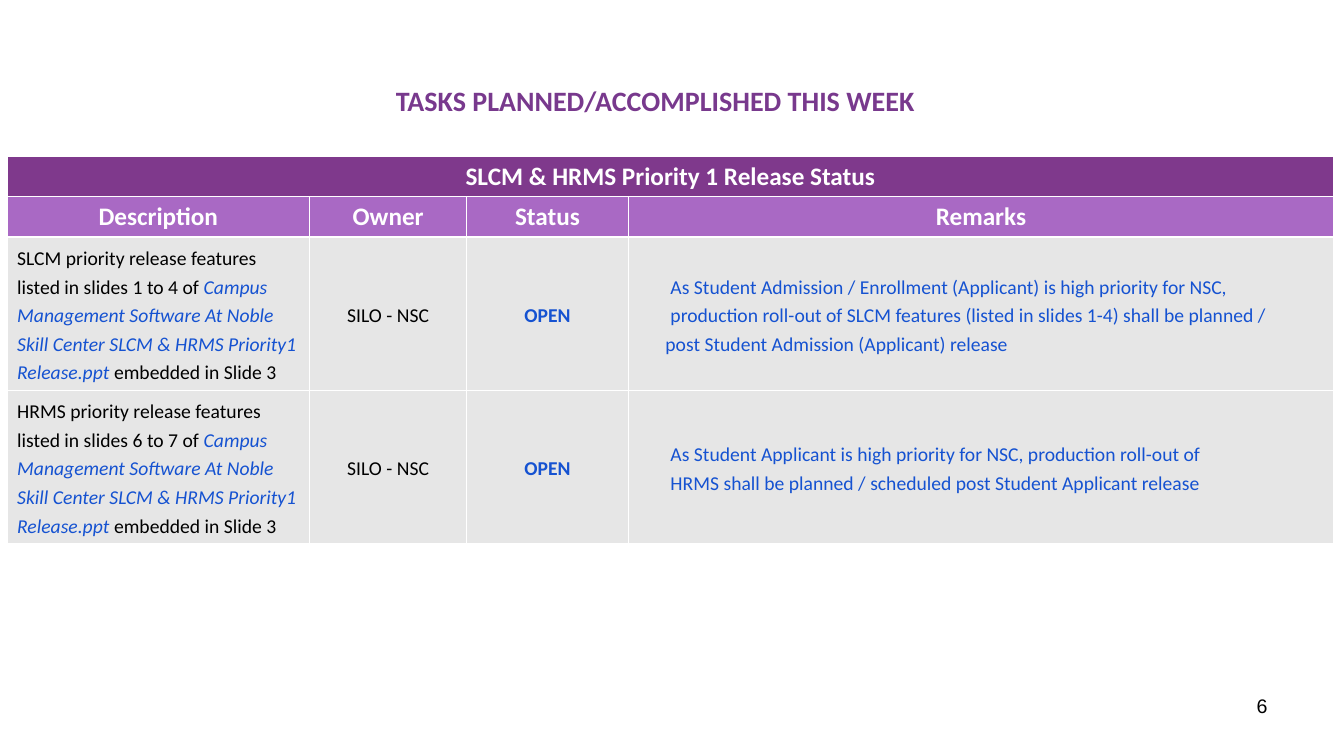
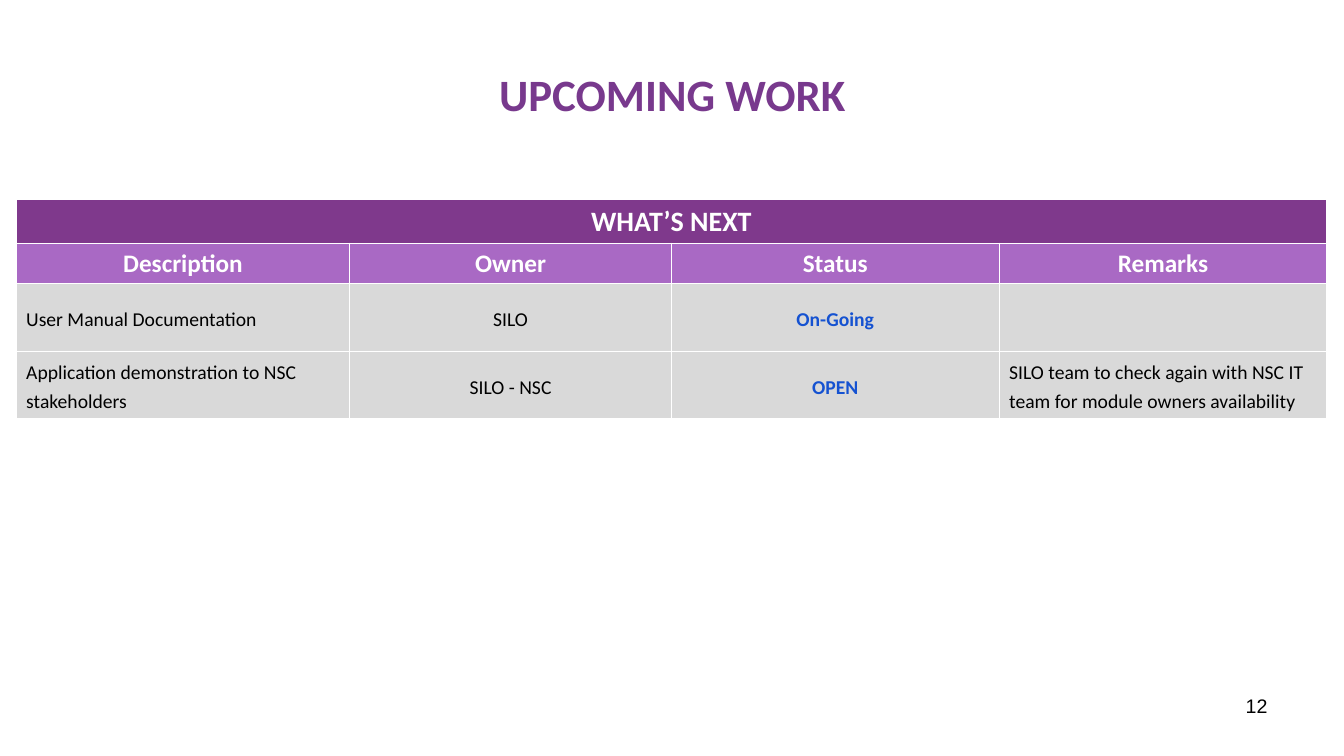
from lxml import etree
from pptx import Presentation
from pptx.dml.color import RGBColor
from pptx.enum.text import MSO_ANCHOR, PP_ALIGN
from pptx.oxml.ns import qn
from pptx.util import Inches, Pt

LEFT, CENTER, RIGHT = PP_ALIGN.LEFT, PP_ALIGN.CENTER, PP_ALIGN.RIGHT
MIDDLE, TOP = MSO_ANCHOR.MIDDLE, MSO_ANCHOR.TOP
TITLE_ONLY = 5
TITLE_COLOR, BANNER, HEADING = "78398D", "7F398C", "A969C4"
WHITE, BLACK, BLUE = "FFFFFF", "000000", "1552D1"

HEADINGS = ["Description", "Owner", "Status", "Remarks"]
PLAIN = {"size": 14, "color": BLACK}
STATUS = {**PLAIN, "color": BLUE, "bold": True}
REMARK = {**PLAIN, "color": BLUE}
FILE_NAME = {**REMARK, "italic": True}
HEADING_TEXT = {"size": 18, "color": WHITE, "bold": True}

RELEASE_FILE = "Campus Management Software At Noble Skill Center SLCM & HRMS Priority1 Release.ppt "


def release_features(system, slides):
    """Return the description spans of one release."""
    return [(f"{system} priority release features listed in slides {slides} of ", PLAIN),
            (RELEASE_FILE, FILE_NAME), ("embedded in Slide 3", PLAIN)]


SLIDES = [
    {
        "title": "TASKS PLANNED/ACCOMPLISHED THIS WEEK", "title_size": 20,
        "title_box": (0.5, 0.7, 12, 0.6), "number": "6",
        "banner": "SLCM & HRMS Priority 1 Release Status", "banner_size": 18,
        "origin": (0.07, 1.55), "columns": [3, 1.56, 1.6, 7],
        "rows": [0.4, 0.4, 1.52, 1.52], "fill": "E6E6E6", "remark": REMARK,
        "tasks": [
            (release_features("SLCM", "1 to 4"), "SILO - NSC", "OPEN",
             [(0.32, "As Student Admission / Enrollment (Applicant) is high priority for NSC,"),
              (0.32, "production roll-out of SLCM features (listed in slides 1-4) shall be planned /"),
              (0.27, "post Student Admission (Applicant) release")]),
            (release_features("HRMS", "6 to 7"), "SILO - NSC", "OPEN",
             [(0.32, "As Student Applicant is high priority for NSC, production roll-out of"),
              (0.32, "HRMS shall be planned / scheduled post Student Applicant release")]),
        ],
    },
    {
        "title": "UPCOMING WORK", "title_size": 32,
        "title_box": (0.67, 0.3, 12, 1.25), "number": "12",
        "banner": "WHAT’S NEXT", "banner_size": 20,
        "origin": (0.16, 1.98), "columns": [3.31, 3.19, 3.25, 3.25],
        "rows": [0.43, 0.4, 0.67, 0.67], "fill": "D9D9D9", "remark": PLAIN,
        "tasks": [
            ([("User Manual Documentation", PLAIN)], "SILO", "On-Going", []),
            ([("Application demonstration to NSC stakeholders", PLAIN)], "SILO - NSC", "OPEN",
             [(0, "SILO team to check again with NSC IT team for module owners availability")]),
        ],
    },
]


def rgb(value):
    """Turn a hex string into a colour."""
    return RGBColor.from_string(value)


def write(para, spans, align=LEFT, spacing=None, indent=0):
    """Fill a paragraph with formatted spans."""
    para.alignment = align
    if spacing:
        para.line_spacing = spacing
    if indent:
        para._p.get_or_add_pPr().set("marL", str(Inches(indent)))
    for text, style in spans:
        span = para.add_run()
        span.text = text
        values = {"name": "Calibri", "bold": False, "italic": False, **style}
        values["size"] = Pt(values["size"])
        span.font.color.rgb = rgb(values.pop("color"))
        for name, value in values.items():
            setattr(span.font, name, value)


def format_cell(cell, color, anchor=TOP):
    """Give a cell its fill, anchor and white borders."""
    properties = cell._tc.get_or_add_tcPr()
    for side in ("a:lnL", "a:lnR", "a:lnT", "a:lnB"):
        line = etree.SubElement(properties, qn(side), w=str(Pt(1)))
        etree.SubElement(etree.SubElement(line, qn("a:solidFill")), qn("a:srgbClr"), val=WHITE)
    cell.fill.solid()
    cell.fill.fore_color.rgb = rgb(color)
    cell.vertical_anchor = anchor


def add_task(table, row, task, content):
    """Write one task row."""
    description, owner, status, remarks = task
    cells = [table.cell(row, column) for column in range(len(HEADINGS))]
    for cell in cells:
        format_cell(cell, content["fill"], MIDDLE)
    write(cells[0].text_frame.paragraphs[0], description, spacing=1.2)
    for cell, text, style in ((cells[1], owner, PLAIN), (cells[2], status, STATUS)):
        write(cell.text_frame.paragraphs[0], [(text, style)], CENTER, 1.2)
    frame = cells[3].text_frame
    for index, (indent, text) in enumerate(remarks):
        para = frame.add_paragraph() if index else frame.paragraphs[0]
        write(para, [(text, content["remark"])], spacing=1.2, indent=indent)


def add_status_table(page, content):
    """Add the table with its banner, headings and tasks."""
    widths, heights = content["columns"], content["rows"]
    size = (*content["origin"], sum(widths), sum(heights))
    table = page.shapes.add_table(len(heights), len(widths), *map(Inches, size)).table
    table.first_row = table.horz_banding = False
    for column, width in zip(table.columns, widths):
        column.width = Inches(width)
    for row, height in zip(table.rows, heights):
        row.height = Inches(height)
    for index, heading in enumerate(HEADINGS):
        format_cell(table.cell(0, index), BANNER)
        cell = table.cell(1, index)
        format_cell(cell, HEADING)
        write(cell.text_frame.paragraphs[0], [(heading, HEADING_TEXT)], CENTER)
    banner = table.cell(0, 0)
    banner.merge(table.cell(0, len(widths) - 1))
    style = {**HEADING_TEXT, "size": content["banner_size"]}
    write(banner.text_frame.paragraphs[0], [(content["banner"], style)], CENTER)
    for row, task in enumerate(content["tasks"], start=2):
        add_task(table, row, task, content)


def add_page(deck, content):
    """Add a slide with title, page number and table."""
    page = deck.slides.add_slide(deck.slide_layouts[TITLE_ONLY])
    title = page.shapes.title
    title.left, title.top, title.width, title.height = map(Inches, content["title_box"])
    title.text_frame.vertical_anchor = MIDDLE
    style = {"size": content["title_size"], "color": TITLE_COLOR, "bold": True}
    write(title.text_frame.paragraphs[0], [(content["title"], style)], CENTER)
    box = page.shapes.add_textbox(*map(Inches, (9.56, 6.83, 3.11, 0.52)))
    box.text_frame.word_wrap = True
    write(box.text_frame.paragraphs[0], [(content["number"], {**PLAIN, "name": "Arial"})], RIGHT)
    add_status_table(page, content)


def main():
    """Build and save the deck."""
    deck = Presentation()
    deck.slide_width, deck.slide_height = Inches(13.33), Inches(7.5)
    for content in SLIDES:
        add_page(deck, content)
    deck.save("out.pptx")


if __name__ == "__main__":
    main()
